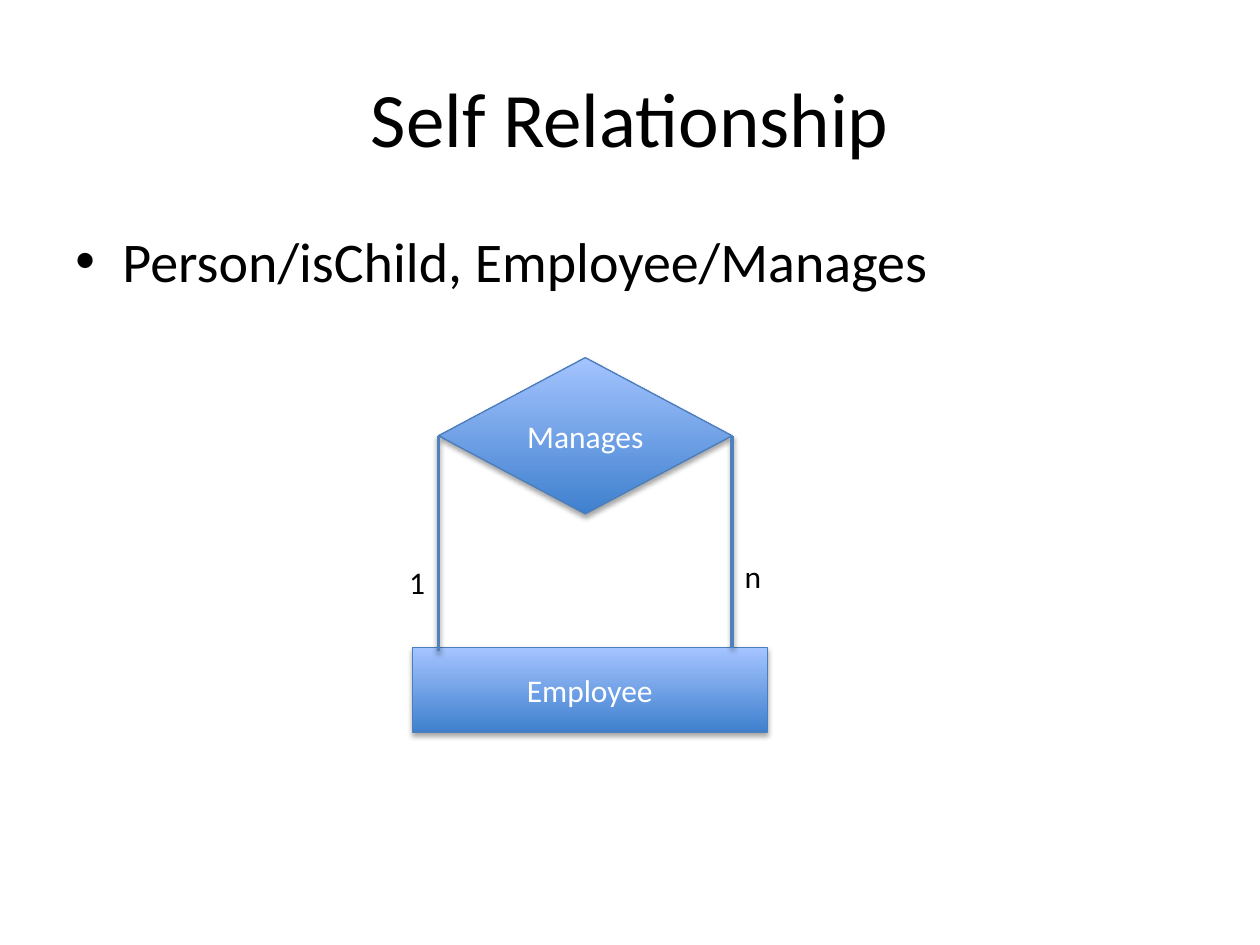
from dataclasses import dataclass

from lxml import etree
from pptx import Presentation
from pptx.dml.color import RGBColor
from pptx.enum.shapes import MSO_CONNECTOR, MSO_SHAPE
from pptx.enum.text import MSO_ANCHOR, MSO_AUTO_SIZE, PP_ALIGN
from pptx.oxml.ns import qn
from pptx.util import Cm, Pt

RECTANGLE, DIAMOND = MSO_SHAPE.RECTANGLE, MSO_SHAPE.DIAMOND
STRAIGHT = MSO_CONNECTOR.STRAIGHT
TOP, MIDDLE = MSO_ANCHOR.TOP, MSO_ANCHOR.MIDDLE
LEFT, CENTER = PP_ALIGN.LEFT, PP_ALIGN.CENTER
FIT_SHAPE = MSO_AUTO_SIZE.SHAPE_TO_FIT_TEXT


@dataclass(frozen=True)
class Theme:
    font: str = "Calibri"
    text: str = "000000"
    node_text: str = "FFFFFF"
    gradient: tuple = ("3F80CE", "A4C4FF")
    outline: str = "4B7EBC"
    link: str = "4F81BD"
    title_size: int = 44
    body_size: int = 32
    label_size: int = 18


THEME = Theme()

# Content; boxes are left, top, width, height in centimetres
TITLE = ("Self Relationship", (1.27, 0.76, 22.86, 3.18))
BULLET = ("Person/isChild, Employee/Manages", (1.27, 4.45, 22.86, 12.57))
ENTITY = ("Employee", RECTANGLE, (8.31, 13.06, 7.16, 1.7))
RELATIONSHIP = ("Manages", DIAMOND, (8.84, 7.21, 5.92, 3.15))
LABEL_SIZE = (0.84, 1.02)
# Label, its top, and how far its link reaches into the entity
LEFT_ROLE = ("1", 11.23, 0.07)
RIGHT_ROLE = ("n", 11.1, 0)


def write(text_frame, text, size, color, alignment=LEFT, bullet=False):
    text_frame.text = text
    paragraph = text_frame.paragraphs[0]
    paragraph.alignment = alignment
    if bullet:
        properties = paragraph._p.get_or_add_pPr()
        properties.set("marL", str(Cm(0.95)))
        properties.set("indent", str(-Cm(0.95)))
        etree.SubElement(properties, qn("a:buFont"), typeface="Arial")
        etree.SubElement(properties, qn("a:buChar"), char="•")
    font = paragraph.runs[0].font
    font.name, font.size = THEME.font, Pt(size)
    font.color.rgb = RGBColor.from_string(color)


def add_text(slide, text, box, size, anchor=TOP, wrap=True, **style):
    shape = slide.shapes.add_textbox(*map(Cm, box))
    text_frame = shape.text_frame
    text_frame.word_wrap = wrap
    text_frame.vertical_anchor = anchor
    if not wrap:
        text_frame.auto_size = FIT_SHAPE
    write(text_frame, text, size, THEME.text, **style)


def add_shadow(shape, opacity, distance):
    properties = shape._element.spPr
    effects = properties.find(qn("a:effectLst"))
    if effects is None:
        effects = etree.SubElement(properties, qn("a:effectLst"))
    shadow = etree.SubElement(
        effects, qn("a:outerShdw"), blurRad=str(Pt(3.1)), dist=str(Pt(distance)),
        dir="5400000", rotWithShape="0")
    color = etree.SubElement(shadow, qn("a:srgbClr"), val="000000")
    etree.SubElement(color, qn("a:alpha"), val=str(opacity * 1000))


def add_node(slide, text, preset, box):
    shape = slide.shapes.add_shape(preset, *map(Cm, box))
    shape.fill.gradient()
    shape.fill.gradient_angle = 90
    for stop, color in zip(shape.fill.gradient_stops, THEME.gradient):
        stop.color.rgb = RGBColor.from_string(color)
    shape.line.color.rgb = RGBColor.from_string(THEME.outline)
    shape.line.width = Pt(0.75)
    shape.shadow.inherit = False
    add_shadow(shape, 35, 1.8)
    shape.text_frame.vertical_anchor = MIDDLE
    write(shape.text_frame, text, THEME.label_size, THEME.node_text, CENTER)


def add_link(slide, x, top, bottom):
    connector = slide.shapes.add_connector(STRAIGHT, Cm(x), Cm(top), Cm(x), Cm(bottom))
    connector.line.color.rgb = RGBColor.from_string(THEME.link)
    connector.line.width = Pt(2)
    add_shadow(connector, 38, 1.6)


def main():
    presentation = Presentation()
    presentation.slide_width, presentation.slide_height = Cm(25.4), Cm(19.05)
    slide = presentation.slides.add_slide(presentation.slide_layouts[6])

    # Heading and bullet
    add_text(slide, *TITLE, THEME.title_size, anchor=MIDDLE, alignment=CENTER)
    add_text(slide, *BULLET, THEME.body_size, bullet=True)

    # Entity and its relationship
    add_node(slide, *ENTITY)
    add_node(slide, *RELATIONSHIP)

    # Links drop from the side corners of the diamond, labels sit outside them
    left, top, width, height = RELATIONSHIP[2]
    right, middle = left + width, top + height / 2
    entity_top = ENTITY[2][1]
    label_width = LABEL_SIZE[0]
    sides = [(left, left - label_width, LEFT_ROLE), (right, right, RIGHT_ROLE)]
    for x, label_left, (label, label_top, overlap) in sides:
        add_link(slide, x, middle, entity_top + overlap)
        add_text(slide, label, (label_left, label_top, *LABEL_SIZE),
                 THEME.label_size, wrap=False)

    presentation.save("out.pptx")


if __name__ == "__main__":
    main()
